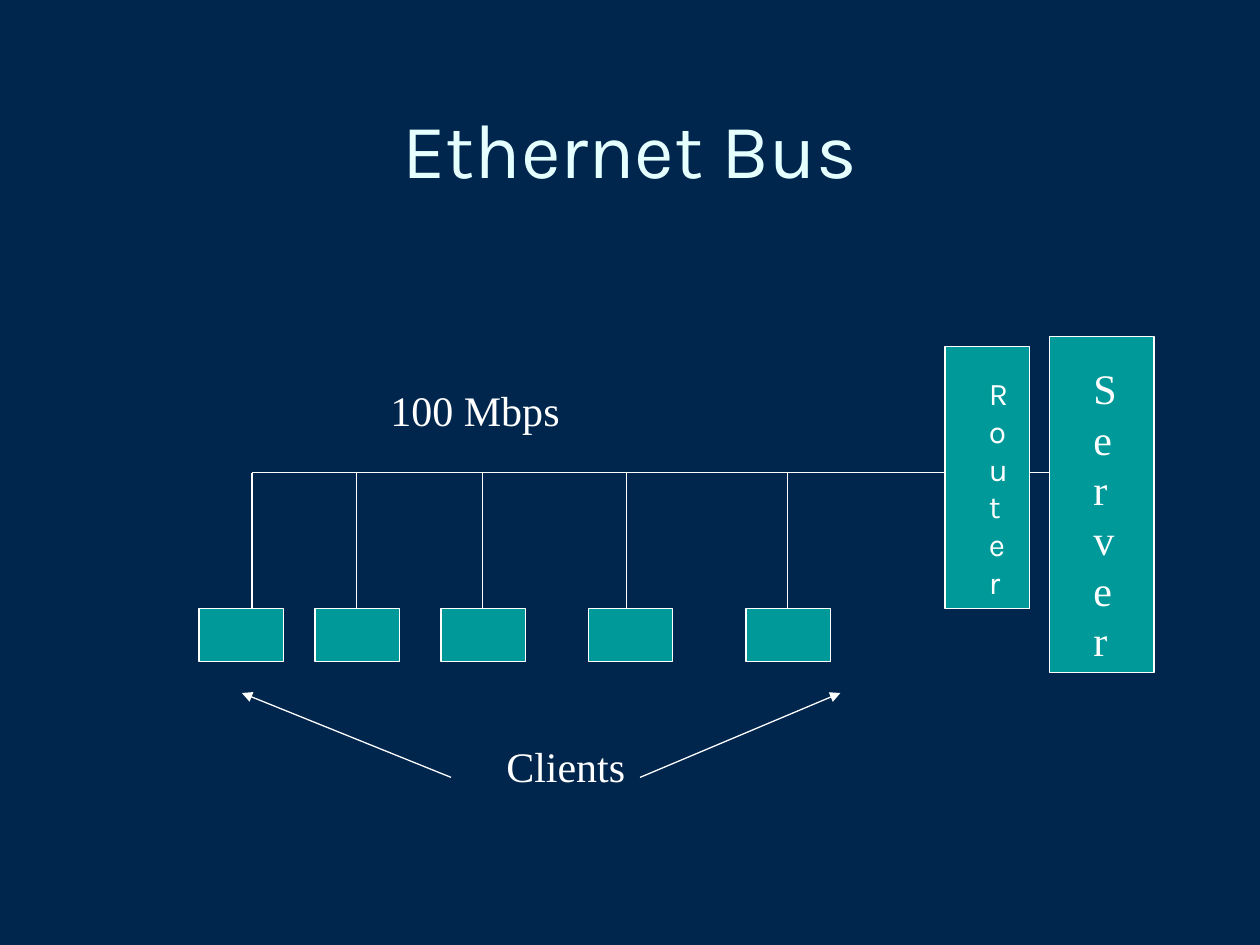
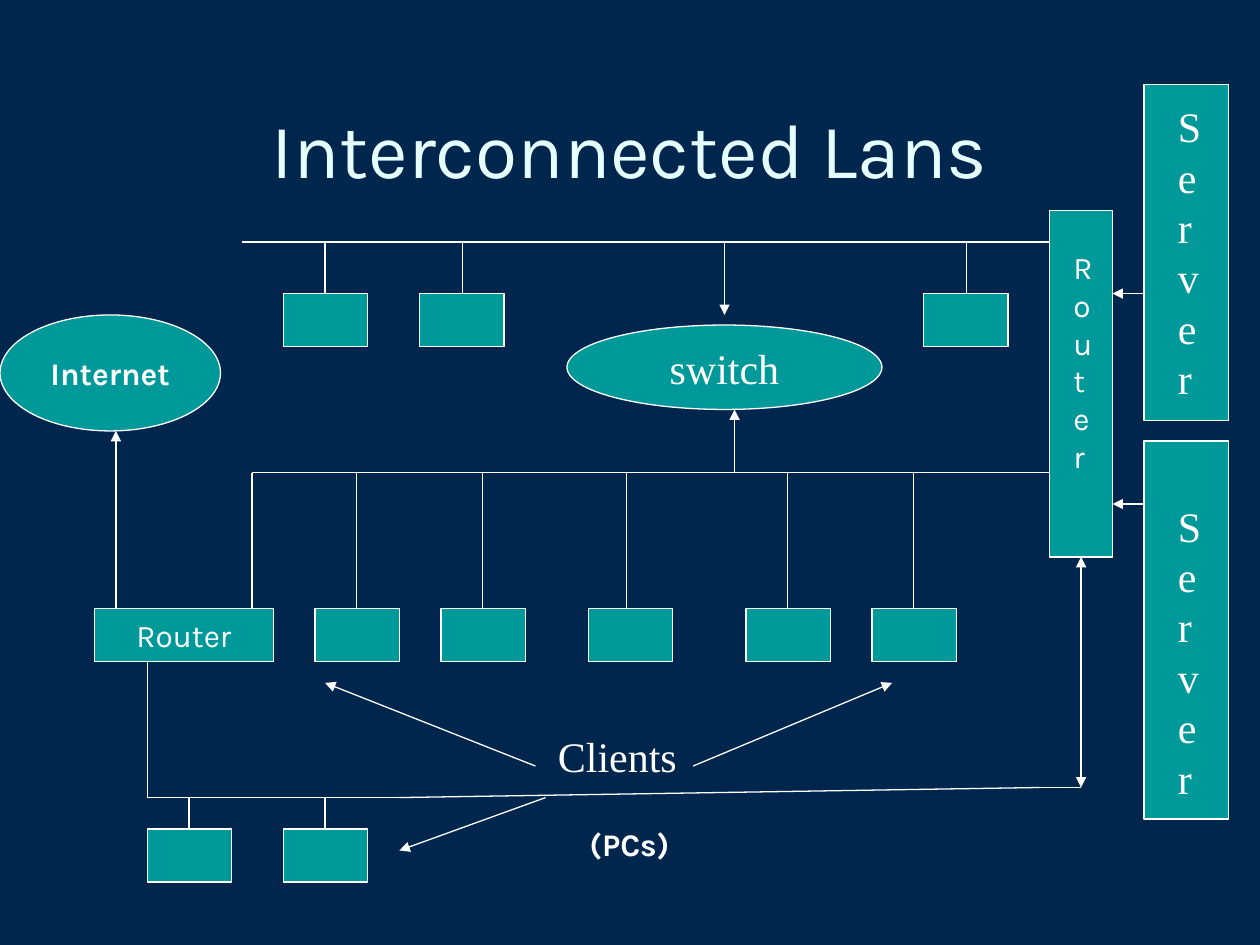
from dataclasses import dataclass

from lxml import etree
from pptx import Presentation
from pptx.dml.color import RGBColor
from pptx.enum.shapes import MSO_CONNECTOR, MSO_SHAPE
from pptx.enum.text import MSO_ANCHOR, PP_ALIGN
from pptx.oxml.ns import qn
from pptx.util import Inches, Pt

RECTANGLE = MSO_SHAPE.RECTANGLE
OVAL = MSO_SHAPE.OVAL
STRAIGHT = MSO_CONNECTOR.STRAIGHT
MIDDLE = MSO_ANCHOR.MIDDLE
TOP = MSO_ANCHOR.TOP
CENTER = PP_ALIGN.CENTER
LEFT = PP_ALIGN.LEFT

COLORS = {"background": "00264D", "title": "E5FFFF", "device": "009999", "white": "FFFFFF"}
SANS = "Karla"
SERIF = "Times New Roman"
LINE_WIDTH = Pt(0.75)
LINE_PITCH = 1.2

PC_WIDTH, PC_HEIGHT = 0.67, 0.42
BUS_Y, CLIENT_Y = 3.75, 4.83
UPPER_BUS_Y, UPPER_CLIENT_Y = 1.92, 2.33
LOWER_BUS_Y, LOWER_CLIENT_Y = 6.33, 6.58
SHARED_CLIENTS = [2.5, 3.5, 4.67, 5.92]
SHARED_DROPS = [2, 2.83, 3.83, 4.97, 6.25]


@dataclass(frozen=True)
class Style:
    font: str
    size: int
    bold: bool = False
    color: str = "white"


TITLE = Style(SANS, 44, color="title")
LARGE = Style(SERIF, 24)
SMALL = Style(SANS, 18)
STRONG = Style(SANS, 18, bold=True)


@dataclass(frozen=True)
class Device:
    left: float
    top: float
    width: float = PC_WIDTH
    height: float = PC_HEIGHT
    text: str = ""
    style: Style = SMALL
    outline: MSO_SHAPE = RECTANGLE


@dataclass(frozen=True)
class Wire:
    start: tuple[float, float]
    end: tuple[float, float]
    arrows: tuple[str, ...] = ()


@dataclass(frozen=True)
class Label:
    text: str
    left: float
    top: float
    width: float
    height: float
    style: Style = LARGE


@dataclass(frozen=True)
class Diagram:
    title: str
    wires: list[Wire]
    devices: list[Device]
    labels: list[Label]


def rgb(name: str) -> RGBColor:
    return RGBColor.from_string(COLORS[name])


def arrow(start: tuple[float, float], end: tuple[float, float]) -> Wire:
    return Wire(start, end, ("tailEnd",))


def drops(columns: list[float], top: float, bottom: float) -> list[Wire]:
    return [Wire((x, top), (x, bottom)) for x in columns]


def clients(columns: list[float], top: float) -> list[Device]:
    return [Device(left, top) for left in columns]


def write(frame, text: str, style: Style, align: PP_ALIGN, anchor: MSO_ANCHOR) -> None:
    frame.text = text
    frame.vertical_anchor = anchor
    para = frame.paragraphs[0]
    para.alignment = align
    para.line_spacing = Pt(style.size * LINE_PITCH)
    font = para.runs[0].font
    font.name, font.size, font.bold = style.font, Pt(style.size), style.bold
    font.color.rgb = rgb(style.color)


def draw_label(page, label: Label, align: PP_ALIGN = LEFT, anchor: MSO_ANCHOR = TOP) -> None:
    box = page.shapes.add_textbox(Inches(label.left), Inches(label.top),
                                  Inches(label.width), Inches(label.height))
    box.text_frame.word_wrap = True
    write(box.text_frame, label.text, label.style, align, anchor)


def draw_wire(page, wire: Wire) -> None:
    points = [Inches(value) for value in (*wire.start, *wire.end)]
    connector = page.shapes.add_connector(STRAIGHT, *points)
    connector.line.color.rgb = rgb("white")
    connector.line.width = LINE_WIDTH
    line = connector.line._get_or_add_ln()
    for end in wire.arrows:
        etree.SubElement(line, qn(f"a:{end}"), type="triangle")
    etree.SubElement(connector._element.spPr, qn("a:effectLst"))


def draw_device(page, device: Device) -> None:
    shape = page.shapes.add_shape(device.outline, Inches(device.left), Inches(device.top),
                                  Inches(device.width), Inches(device.height))
    shape.shadow.inherit = False
    shape.fill.solid()
    shape.fill.fore_color.rgb = rgb("device")
    shape.line.color.rgb = rgb("white")
    shape.line.width = LINE_WIDTH
    if device.text:
        shape.text_frame.word_wrap = False
        write(shape.text_frame, device.text, device.style, CENTER, MIDDLE)


def draw_diagram(deck, diagram: Diagram) -> None:
    page = deck.slides.add_slide(deck.slide_layouts[6])
    page.background.fill.solid()
    page.background.fill.fore_color.rgb = rgb("background")
    draw_label(page, Label(diagram.title, 0.5, 0.42, 9, 1.5, TITLE), CENTER, MIDDLE)
    for wire in diagram.wires:
        draw_wire(page, wire)
    for device in diagram.devices:
        draw_device(page, device)
    for label in diagram.labels:
        draw_label(page, label)


ETHERNET_BUS = Diagram(
    "Ethernet Bus",
    wires=[
        Wire((2, BUS_Y), (8.33, BUS_Y)),
        *drops(SHARED_DROPS, BUS_Y, CLIENT_Y),
        arrow((3.58, 6.17), (1.92, 5.5)),
        arrow((5.08, 6.17), (6.67, 5.5)),
    ],
    devices=[
        *clients([1.58, *SHARED_CLIENTS], CLIENT_Y),
        Device(8.33, 2.67, 0.83, 2.67),
        Device(7.5, 2.75, 0.67, 2.08),
    ],
    labels=[
        Label("100 Mbps", 3, 3, 3.75, 0.5),
        Label("Server", 8.58, 2.83, 0.33, 2.5),
        Label("Clients", 3.92, 5.83, 1.33, 0.5),
        Label("Router", 7.75, 2.92, 0.25, 1.9, SMALL),
    ],
)

INTERCONNECTED_LANS = Diagram(
    "Interconnected Lans",
    wires=[
        Wire((1.92, UPPER_BUS_Y), (8.33, UPPER_BUS_Y)),
        *drops([2.58, 3.67, 7.67], UPPER_BUS_Y, UPPER_CLIENT_Y),
        Wire((2, BUS_Y), (8.33, BUS_Y)),
        *drops([*SHARED_DROPS, 7.25], BUS_Y, CLIENT_Y),
        Wire((1.17, 5.25), (1.17, LOWER_BUS_Y)),
        Wire((1.17, LOWER_BUS_Y), (3.25, LOWER_BUS_Y)),
        Wire((3.17, LOWER_BUS_Y), (8.25, 6.25)),
        Wire((8.17, 6.25), (8.58, 6.25)),
        *drops([1.5, 2.58], LOWER_BUS_Y, LOWER_CLIENT_Y),
        arrow((5.75, UPPER_BUS_Y), (5.75, 2.5)),
        arrow((5.83, BUS_Y), (5.83, 3.25)),
        arrow((0.92, CLIENT_Y), (0.92, 3.42)),
        arrow((9.08, 2.33), (8.83, 2.33)),
        arrow((9.08, 4), (8.83, 4)),
        Wire((8.58, 6.25), (8.58, 4.42), ("headEnd", "tailEnd")),
        arrow((4.25, 6.08), (2.58, 5.42)),
        arrow((5.5, 6.08), (7.08, 5.42)),
        arrow((4.33, 6.33), (3.17, 6.75)),
    ],
    devices=[
        *clients([2.25, 3.33, 7.33], UPPER_CLIENT_Y),
        *clients([*SHARED_CLIENTS, 6.92], CLIENT_Y),
        *clients([1.17, 2.25], LOWER_CLIENT_Y),
        Device(9.08, 0.67, 0.67, 2.67),
        Device(9.08, 3.5, 0.67, 3),
        Device(8.33, 1.67, 0.5, 2.75),
        Device(0.75, CLIENT_Y, 1.42, PC_HEIGHT, "Router"),
        Device(4.5, 2.58, 2.5, 0.67, "switch", LARGE, OVAL),
        Device(0, 2.5, 1.75, 0.92, "Internet", STRONG, OVAL),
    ],
    labels=[
        Label("Server", 9.25, 0.75, 0.33, 2.5),
        Label("Server", 9.25, 3.92, 0.33, 2.5),
        Label("Router", 8.42, 1.92, 0.33, 1.9, SMALL),
        Label("Clients", 4.33, 5.75, 1.33, 0.5),
        Label("(PCs)", 4.58, 6.5, 1.08, 0.4, STRONG),
    ],
)


def main() -> None:
    deck = Presentation()
    deck.slide_width, deck.slide_height = Inches(10), Inches(7.5)
    for diagram in (ETHERNET_BUS, INTERCONNECTED_LANS):
        draw_diagram(deck, diagram)
    deck.save("out.pptx")


if __name__ == "__main__":
    main()
